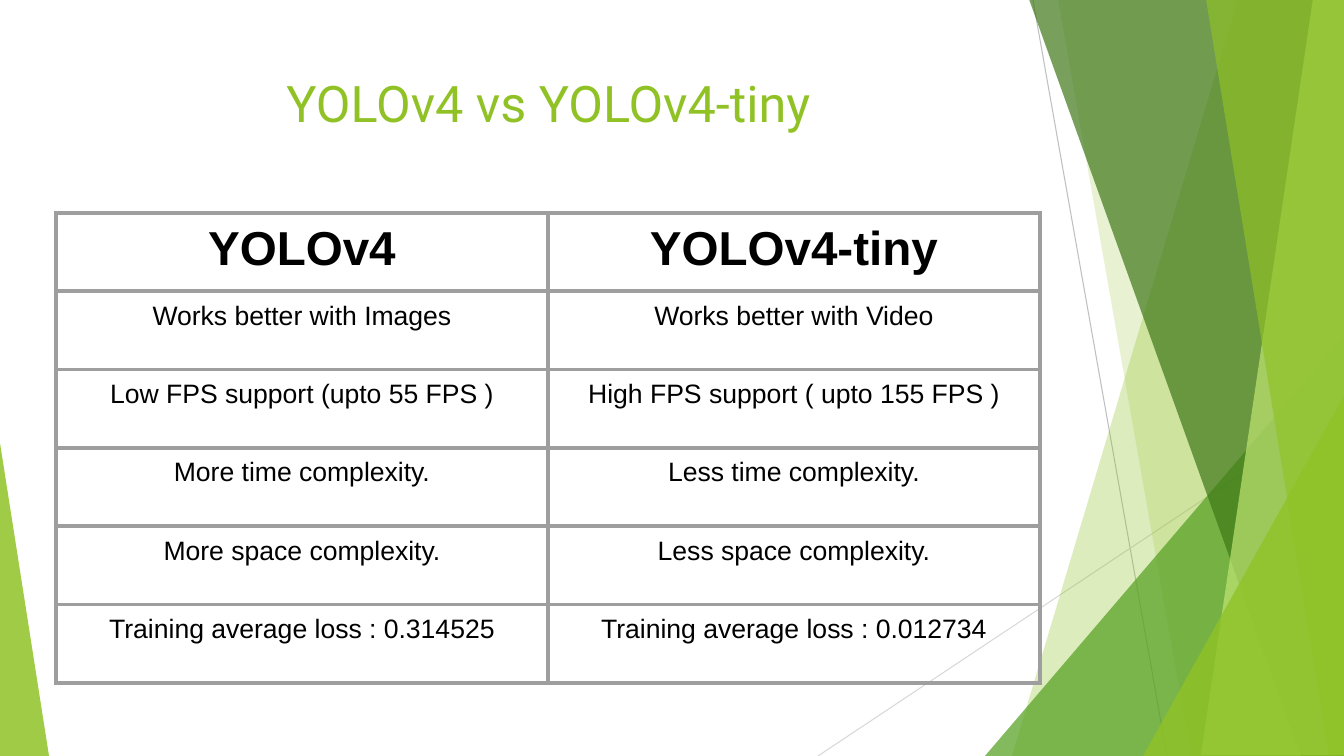
from dataclasses import dataclass

from lxml import etree
from pptx import Presentation
from pptx import util as u
from pptx.dml.color import RGBColor
from pptx.enum import shapes, text
from pptx.oxml.ns import qn

EMU_PER_PX = 914400 / 100.8


@dataclass(frozen=True)
class Theme:
    lime: str = "90C226"
    leaf: str = "54A021"
    forest: str = "3F7818"
    pale: str = "BFE471"
    ink: str = "000000"
    border: str = "9E9E9E"
    steep_line: str = "BFBFBF"
    flat_line: str = "D8D8D8"
    title_font: str = "Roboto"
    table_font: str = "Arial"
    title_size: int = 36
    header_size: int = 34
    body_size: int = 19
    line_width: float = 0.75
    border_width: int = 3


THEME = Theme()

COMPARISON = [
    ("YOLOv4", "YOLOv4-tiny"),
    ("Works better with Images", "Works better with Video"),
    ("Low FPS support (upto 55 FPS )", "High FPS support ( upto 155 FPS )"),
    ("More time complexity.", "Less time complexity."),
    ("More space complexity.", "Less space complexity."),
    ("Training average loss : 0.314525", "Training average loss : 0.012734"),
]


def px(length):
    return u.Emu(round(length * EMU_PER_PX))


def add_line(page, start, end, color):
    line = page.shapes.add_connector(
        shapes.MSO_CONNECTOR.STRAIGHT, *map(px, start + end))
    line.line.color.rgb = RGBColor.from_string(color)
    line.line.width = u.Pt(THEME.line_width)
    etree.SubElement(line._element.spPr, qn("a:effectLst"))


def paint(shape, color, opacity):
    shape.shadow.inherit = False
    shape.line.fill.background()
    shape.fill.solid()
    shape.fill.fore_color.rgb = RGBColor.from_string(color)
    tint = shape._element.spPr.find(qn("a:solidFill")).find(qn("a:srgbClr"))
    etree.SubElement(tint, qn("a:alpha"), val=str(opacity * 1000))


def add_shard(page, points, color, opacity):
    outline = page.shapes.build_freeform(*points[0], scale=EMU_PER_PX)
    outline.add_line_segments(points[1:], close=True)
    paint(outline.convert_to_shape(), color, opacity)


def add_triangle(page, left, top, width, height, apex, color, opacity):
    triangle = page.shapes.add_shape(
        shapes.MSO_SHAPE.ISOSCELES_TRIANGLE,
        px(left), px(top), px(width), px(height))
    triangle.adjustments[0] = apex
    paint(triangle, color, opacity)


def add_centered_text(frame, words, font, size, color, bold=False):
    para = frame.paragraphs[0]
    para.alignment = text.PP_ALIGN.CENTER
    span = para.add_run()
    span.text = words
    span.font.name = font
    span.font.size = u.Pt(size)
    span.font.bold = bold
    span.font.color.rgb = RGBColor.from_string(color)


def add_title(page, words):
    box = page.shapes.add_textbox(px(75), px(67), px(947), px(145))
    box.text_frame.word_wrap = True
    add_centered_text(box.text_frame, words, THEME.title_font,
                      THEME.title_size, THEME.lime)


def style_cell(cell):
    cell.margin_left = cell.margin_right = px(10)
    cell.margin_top = cell.margin_bottom = px(10)
    cell.vertical_anchor = text.MSO_ANCHOR.TOP
    properties = cell._tc.get_or_add_tcPr()
    for side in ("lnL", "lnR", "lnT", "lnB"):
        edge = etree.SubElement(properties, qn("a:" + side),
                                w=str(u.Pt(THEME.border_width)))
        fill = etree.SubElement(edge, qn("a:solidFill"))
        etree.SubElement(fill, qn("a:srgbClr"), val=THEME.border)
    cell.fill.background()


def add_comparison(page, rows):
    frame = page.shapes.add_table(
        len(rows), len(rows[0]), px(56), px(213), px(984), px(470))
    table = frame.table
    table.first_row = table.horz_banding = False
    for r, row in enumerate(rows):
        size = THEME.body_size if r else THEME.header_size
        for c, words in enumerate(row):
            cell = table.cell(r, c)
            style_cell(cell)
            add_centered_text(cell.text_frame, words, THEME.table_font,
                              size, THEME.ink, bold=r == 0)


def add_backdrop(page):
    add_line(page, (1033, 0), (1167, 756), THEME.steep_line)
    add_line(page, (1344, 406), (818, 756), THEME.flat_line)
    add_shard(page, [(1238, -1), (1344, -1), (1344, 756), (1012, 756)],
              THEME.lime, 30)
    add_shard(page, [(1058, -1), (1344, -1), (1344, 756), (1191, 756)],
              THEME.lime, 20)
    add_triangle(page, 985, 336, 359, 420, 1, THEME.leaf, 72)
    add_shard(page, [(1029, -1), (1344, -1), (1344, 756), (1301, 756)],
              THEME.forest, 70)
    add_shard(page, [(1313, -1), (1344, -1), (1344, 755), (1201, 755)],
              THEME.pale, 70)
    add_shard(page, [(1206, -1), (1344, -1), (1344, 755), (1329, 755)],
              THEME.lime, 65)
    add_triangle(page, 1143, 396, 201, 360, 1, THEME.lime, 80)
    add_triangle(page, 0, 443, 49, 313, 0, THEME.lime, 85)


def main():
    deck = Presentation()
    deck.slide_width, deck.slide_height = px(1344), px(756)
    page = deck.slides.add_slide(deck.slide_layouts[6])
    add_backdrop(page)
    add_title(page, "YOLOv4 vs YOLOv4-tiny")
    add_comparison(page, COMPARISON)
    deck.save("out.pptx")


if __name__ == "__main__":
    main()
